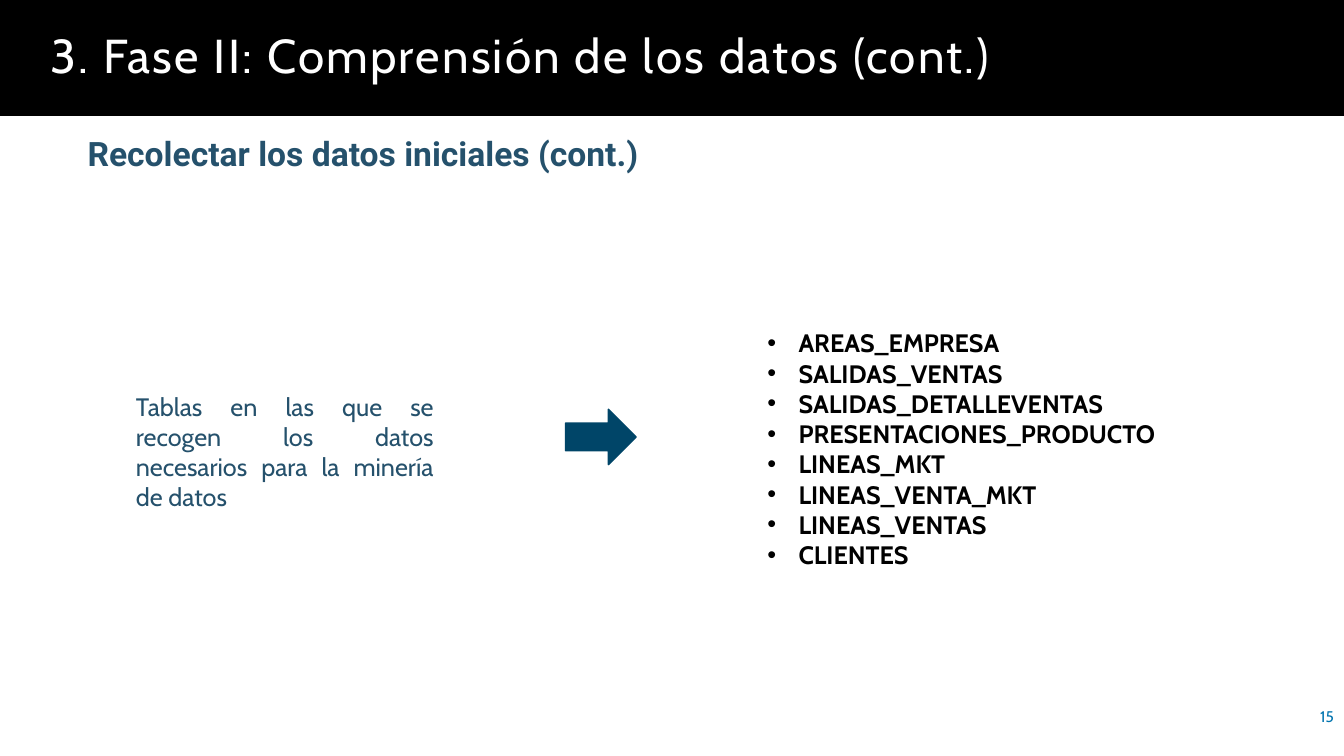
from pptx import Presentation
from pptx import util as u
from pptx.dml.color import RGBColor
from pptx.enum import shapes, text

INK = {"black": "000000", "white": "FFFFFF", "slate": "25516C",
       "navy": "004568", "blue": "0074AF"}
WIDE, HIGH = 13.33, 7.5
TABLES = ["AREAS_EMPRESA", "SALIDAS_VENTAS", "SALIDAS_DETALLEVENTAS",
          "PRESENTACIONES_PRODUCTO", "LINEAS_MKT", "LINEAS_VENTA_MKT",
          "LINEAS_VENTAS", "CLIENTES"]


def paint(fill, ink):
    """Give a fill one solid colour."""
    fill.solid()
    fill.fore_color.rgb = RGBColor.from_string(INK[ink])


def place(shape, box):
    """Move a shape to a box of left, top, width and height in inches."""
    shape.left, shape.top, shape.width, shape.height = map(u.Inches, box)


def write(shape, lines, size, ink, face="Cabin", bold=False, align="LEFT",
          anchor="TOP", pad=(0.1, 0.05)):
    """Fill a shape with paragraphs of one style."""
    frame = shape.text_frame
    frame.text = "\n".join(lines)
    frame.word_wrap = True
    frame.auto_size = text.MSO_AUTO_SIZE.NONE
    frame.vertical_anchor = text.MSO_ANCHOR[anchor]
    frame.margin_left = frame.margin_right = u.Inches(pad[0])
    frame.margin_top = frame.margin_bottom = u.Inches(pad[1])
    for para in frame.paragraphs:
        para.alignment = text.PP_ALIGN[align]
        para.space_before = u.Pt(0)
        font = para.font
        font.name, font.size, font.bold = face, u.Pt(size), bold
        font.color.rgb = RGBColor.from_string(INK[ink])
    return frame


def label(slide, box, line, size, ink, **style):
    """Add a text box with one paragraph."""
    shape = slide.shapes.add_textbox(*map(u.Inches, box))
    return write(shape, [line], size, ink, **style)


def header(slide, box):
    """Set the title in a black band and the subtitle below it."""
    left, top, width, height = box
    title = slide.shapes.title
    place(title, box)
    paint(title.fill, "black")
    frame = write(title, ["3. Fase II: Comprensión de los datos (cont.)"],
                  34, "white", anchor="MIDDLE", pad=(0.5, 0.05))
    para = frame.paragraphs[0]
    para.line_spacing = 0.9
    para.runs[0].font._element.set("spc", "160")
    sub = label(slide, (left + 0.77, top + height + 0.07, 8.62, 0.75),
                "Recolectar los datos iniciales (cont.)", 24, "slate",
                face="Roboto", bold=True, pad=(0.1, 0.1))
    sub.paragraphs[0].space_before = u.Pt(6)


def flow(slide, box):
    """Lay out the statement, the arrow and the list of tables."""
    left, top, width, height = box
    label(slide, (left, top + 0.63, 3.15, 1.32),
          "Tablas en las que se recogen los datos necesarios "
          "para la minería de datos", 18, "slate", align="JUSTIFY")
    spot = left + 4.36, top + 0.86, 0.7, 0.55
    arrow = slide.shapes.add_shape(shapes.MSO_SHAPE.RIGHT_ARROW,
                                   *map(u.Inches, spot))
    arrow.shadow.inherit = False
    paint(arrow.fill, "navy")
    paint(arrow.line.fill, "navy")
    arrow.line.width = u.Pt(1)
    items = slide.placeholders[1]
    place(items, (left + width - 4.49, top, 4.49, height))
    frame = write(items, TABLES, 18, "black", bold=True, align="JUSTIFY")
    for para in frame.paragraphs:
        props = para._p.get_or_add_pPr()
        props.set("marL", str(u.Inches(0.31)))
        props.set("indent", str(u.Inches(-0.31)))


def footer(slide, box):
    """Put the slide number at the right edge."""
    label(slide, box, "15", 11, "blue", align="RIGHT", anchor="MIDDLE")


def main():
    """Build and save the slide."""
    deck = Presentation()
    deck.slide_width, deck.slide_height = u.Inches(WIDE), u.Inches(HIGH)
    slide = deck.slides.add_slide(deck.slide_layouts[1])
    paint(slide.background.fill, "white")
    header(slide, (0, 0, WIDE, 1.15))
    flow(slide, (1.25, 3.2, 10.75, 2.52))
    footer(slide, (WIDE - 3, HIGH - 0.59, 3, 0.4))
    deck.save("out.pptx")


if __name__ == "__main__":
    main()
